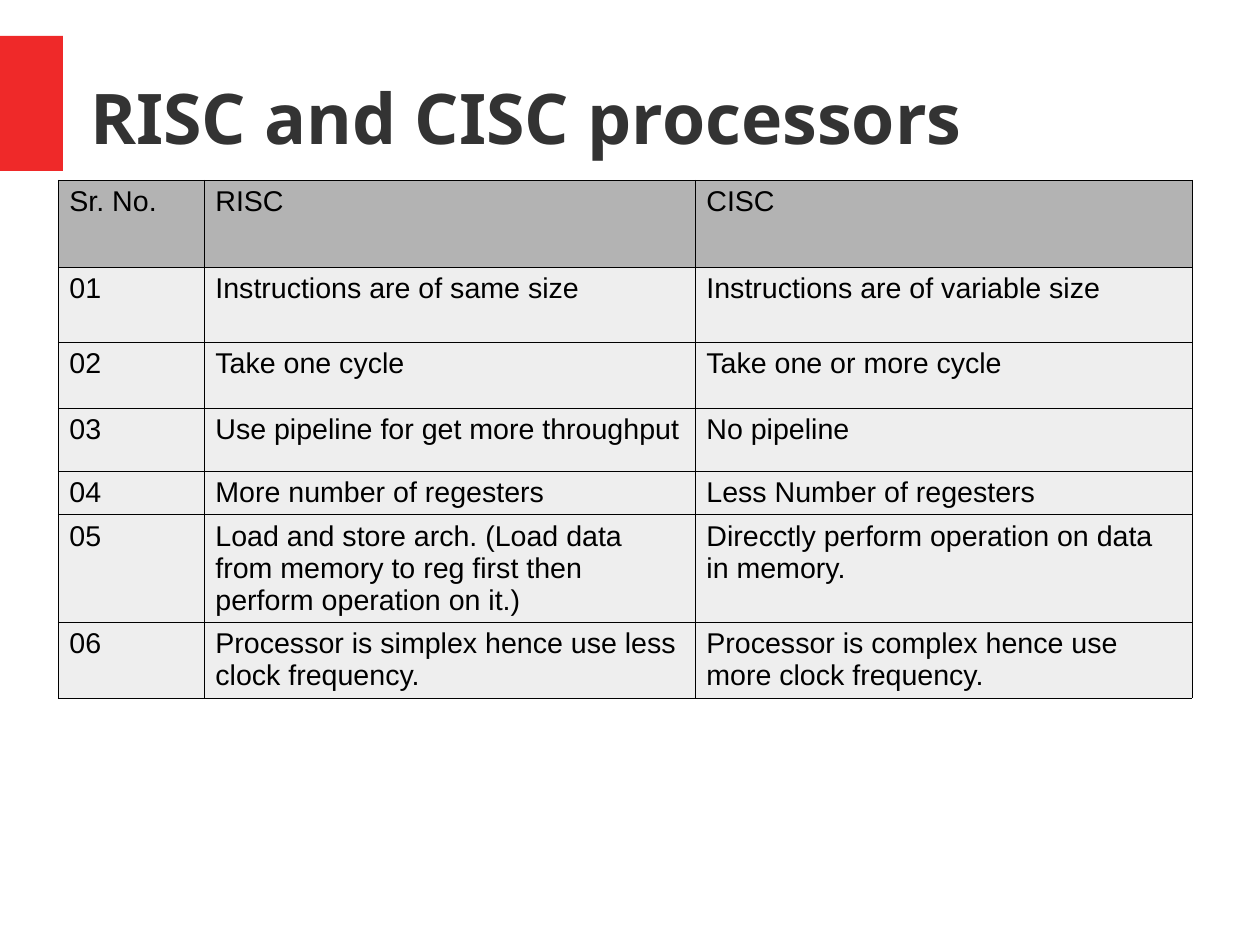
from lxml.etree import SubElement
from pptx import Presentation
from pptx.dml.color import RGBColor
from pptx.enum.shapes import MSO_SHAPE as SHAPE
from pptx.enum.text import MSO_ANCHOR as ANCHOR, MSO_AUTO_SIZE as AUTO, PP_ALIGN as ALIGN
from pptx.oxml.ns import qn
from pptx.util import Pt

TITLE = "RISC and CISC processors"
ROWS = [
    ("Sr. No.", "RISC", "CISC"),
    ("01", "Instructions are of same size", "Instructions are of variable size"),
    ("02", "Take one cycle", "Take one or more cycle"),
    ("03", "Use pipeline for get more throughput", "No pipeline"),
    ("04", "More number of regesters", "Less Number of regesters"),
    ("05", "Load and store arch. (Load data from memory to reg first then perform operation on it.)",
     "Direcctly perform operation on data in memory."),
    ("06", "Processor is simplex hence use less clock frequency.",
     "Processor is complex hence use more clock frequency."),
]
COL_WIDTHS = [146, 491, 497]
ROW_HEIGHTS = [87, 75, 66, 63, 43, 107, 76]

RED = RGBColor(0xEF, 0x29, 0x29)
DARK = RGBColor(0x33, 0x33, 0x33)
BLACK = RGBColor(0, 0, 0)
HEADER_GRAY = RGBColor(0xB3, 0xB3, 0xB3)
BODY_GRAY = RGBColor(0xEE, 0xEE, 0xEE)
BORDER_WIDTH = 720
SCALE = 8000


def px(*lengths):
    return [n * SCALE for n in lengths]


def write(tf, text, size=18, font="Arial", color=BLACK, bold=False):
    p = tf.paragraphs[0]
    p.alignment = ALIGN.LEFT
    r = p.add_run()
    r.text = text
    r.font.size = Pt(size)
    r.font.name = font
    r.font.color.rgb = color
    r.font.bold = bold


def add_borders(cell):
    tcPr = cell._tc.get_or_add_tcPr()
    for side in ("lnL", "lnR", "lnT", "lnB"):
        ln = SubElement(tcPr, qn(f"a:{side}"), w=str(BORDER_WIDTH))
        fill = SubElement(ln, qn("a:solidFill"))
        SubElement(fill, qn("a:srgbClr"), val=str(BLACK))


prs = Presentation()
prs.slide_width, prs.slide_height = px(1260, 945)
s = prs.slides.add_slide(prs.slide_layouts[5])

bar = s.shapes.add_shape(SHAPE.RECTANGLE, *px(0, 36, 63, 135))
bar.shadow.inherit = False
bar.fill.solid()
bar.fill.fore_color.rgb = RED
bar.line.fill.background()

title = s.shapes.title
title.left, title.top, title.width, title.height = px(90, 38, 1106, 158)
tf = title.text_frame
tf.margin_left = tf.margin_top = tf.margin_right = tf.margin_bottom = 0
tf.vertical_anchor = ANCHOR.MIDDLE
tf.auto_size = AUTO.NONE
tf.word_wrap = True
write(tf, TITLE, size=44, font="Noto Sans", color=DARK, bold=True)

frame = s.shapes.add_table(len(ROWS), len(COL_WIDTHS),
                           *px(58, 180, sum(COL_WIDTHS), sum(ROW_HEIGHTS)))
table = frame.table
table.horz_banding = False
for col, width in zip(table.columns, px(*COL_WIDTHS)):
    col.width = width
for row, height in zip(table.rows, px(*ROW_HEIGHTS)):
    row.height = height
for i, texts in enumerate(ROWS):
    for j, text in enumerate(texts):
        cell = table.cell(i, j)
        add_borders(cell)
        cell.fill.solid()
        cell.fill.fore_color.rgb = BODY_GRAY if i else HEADER_GRAY
        write(cell.text_frame, text)

prs.save("out.pptx")
